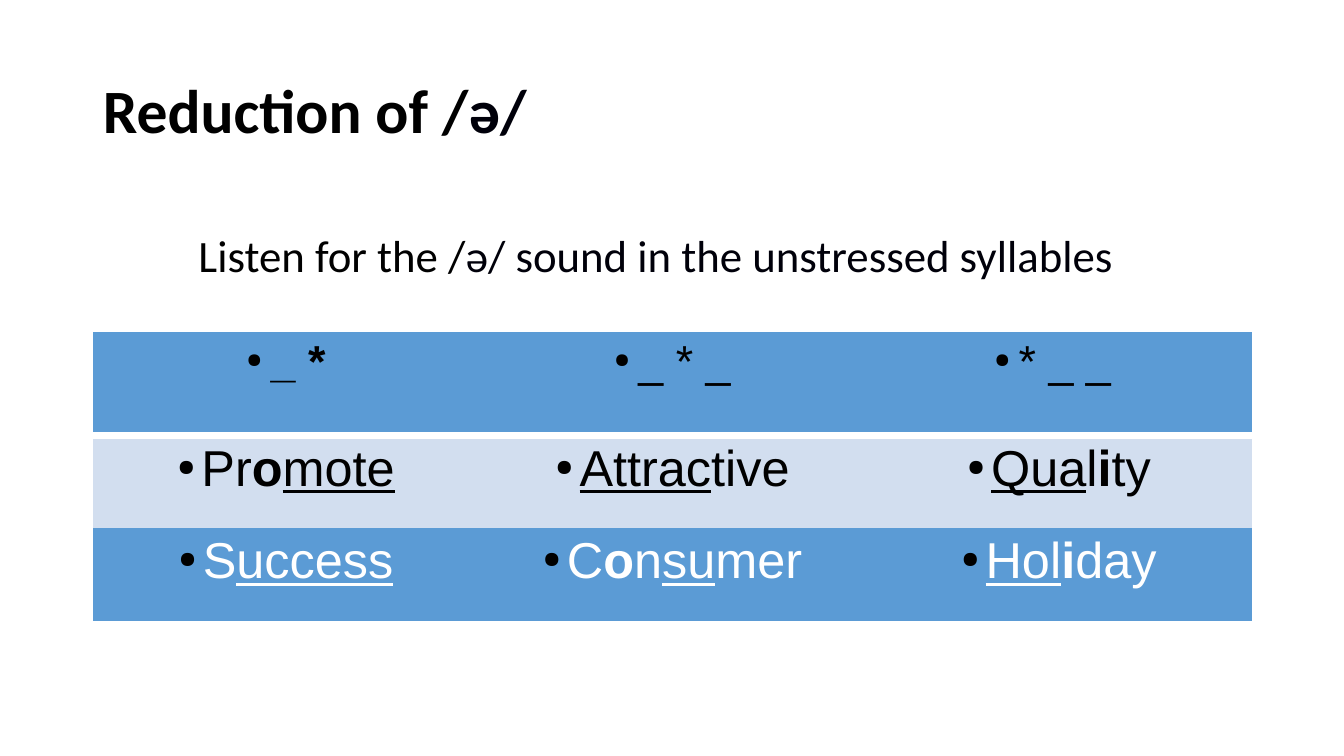
from dataclasses import dataclass

from lxml.etree import SubElement
from pptx import Presentation
from pptx.dml.color import RGBColor
from pptx.enum.text import MSO_ANCHOR, PP_ALIGN
from pptx.oxml import parse_xml
from pptx.oxml.ns import nsdecls, qn
from pptx.table import _Cell as Cell
from pptx.text.text import _Paragraph as Paragraph
from pptx.util import Inches, Pt

COLORS = {
    "black": "000000",
    "ink": "00000A",
    "white": "FFFFFF",
    "blue": "5B9BD5",
    "pale": "D2DEEF",
}
NO_STYLE = "{2D5ABB26-0587-4C30-8999-92F81FD0307C}"


@dataclass(frozen=True)
class Span:
    text: str
    bold: bool = False
    underline: bool = False


@dataclass(frozen=True)
class Row:
    height: float
    size: int
    fill: str
    color: str
    words: tuple[tuple[Span, ...], ...]


ROWS = (
    Row(1.03, 32, "blue", "black", (
        (Span("_ *", bold=True),),
        (Span("_ * _"),),
        (Span("* _ _ "),),
    )),
    Row(0.92, 36, "pale", "black", (
        (Span("Pr"), Span("o", bold=True), Span("mote", underline=True)),
        (Span("Attrac", underline=True), Span("tive")),
        (Span("Qua", underline=True), Span("l"), Span("i", bold=True), Span("ty")),
    )),
    Row(0.92, 36, "blue", "white", (
        (Span("S"), Span("uccess", underline=True)),
        (Span("C"), Span("o", bold=True), Span("n"),
         Span("su", underline=True), Span("mer")),
        (Span("Hol", underline=True), Span("i", bold=True), Span("day")),
    )),
)


def rgb(name: str) -> RGBColor:
    return RGBColor.from_string(COLORS[name])


def write_phonetic(paragraph: Paragraph, lead: str, rest: str, size: int, bold: bool) -> None:
    paragraph.alignment = PP_ALIGN.LEFT
    paragraph.font.name = "Calibri"
    paragraph.font.size = Pt(size)
    paragraph.font.bold = bold
    for words, color in ((lead, "black"), (rest, "ink")):
        run = paragraph.add_run()
        run.text = words
        run.font.color.rgb = rgb(color)


def add_bullet(paragraph: Paragraph) -> None:
    properties = paragraph._p.get_or_add_pPr()
    properties.set("marL", str(Inches(0.24)))
    properties.set("indent", str(Inches(-0.24)))
    bullet_color = SubElement(properties, qn("a:buClr"))
    SubElement(bullet_color, qn("a:srgbClr"), val=COLORS["black"])
    SubElement(properties, qn("a:buSzPct"), val="45000")
    SubElement(properties, qn("a:buChar"), char="●")


def add_bottom_border(cell: Cell, color: str, width: float) -> None:
    border = parse_xml(
        f'<a:lnB {nsdecls("a")} w="{Pt(width)}"><a:solidFill>'
        f'<a:srgbClr val="{COLORS[color]}"/></a:solidFill></a:lnB>'
    )
    cell._tc.get_or_add_tcPr().insert(0, border)


def fill_cell(cell: Cell, row: Row, word: tuple[Span, ...]) -> None:
    cell.fill.solid()
    cell.fill.fore_color.rgb = rgb(row.fill)
    paragraph = cell.text_frame.paragraphs[0]
    paragraph.alignment = PP_ALIGN.CENTER
    add_bullet(paragraph)
    paragraph.font.name = "Arial"
    paragraph.font.size = Pt(row.size)
    paragraph.font.color.rgb = rgb(row.color)
    for span in word:
        run = paragraph.add_run()
        run.text = span.text
        if span.bold:
            run.font.bold = True
        if span.underline:
            run.font.underline = True


def main() -> None:
    presentation = Presentation()
    presentation.slide_width = Inches(13.33)
    presentation.slide_height = Inches(7.5)
    slide = presentation.slides.add_slide(presentation.slide_layouts[5])

    title = slide.shapes.title
    title.left, title.top = Inches(0.92), Inches(0.4)
    title.width, title.height = Inches(11.5), Inches(1.45)
    title.text_frame.vertical_anchor = MSO_ANCHOR.MIDDLE
    heading = title.text_frame.paragraphs[0]
    heading.line_spacing = 0.9
    write_phonetic(heading, "Reduction of /", "ə/", 44, True)

    stress_grid = slide.shapes.add_table(
        len(ROWS), 3, Inches(0.92), Inches(3.29), Inches(11.5), Inches(2.87)
    ).table
    stress_grid.first_row = False
    stress_grid.horz_banding = False
    stress_grid._tbl.tblPr.find(qn("a:tableStyleId")).text = NO_STYLE
    for index, row in enumerate(ROWS):
        stress_grid.rows[index].height = Inches(row.height)
        for column, word in enumerate(row.words):
            fill_cell(stress_grid.cell(index, column), row, word)
    for header in stress_grid.rows[0].cells:
        add_bottom_border(header, "white", 6)

    instruction = slide.shapes.add_textbox(
        Inches(1.87), Inches(2.21), Inches(9.87), Inches(0.64)
    ).text_frame
    instruction.word_wrap = True
    write_phonetic(
        instruction.paragraphs[0], "Listen for the /",
        "ə/ sound in the unstressed syllables", 32, False,
    )

    presentation.save("out.pptx")


if __name__ == "__main__":
    main()
